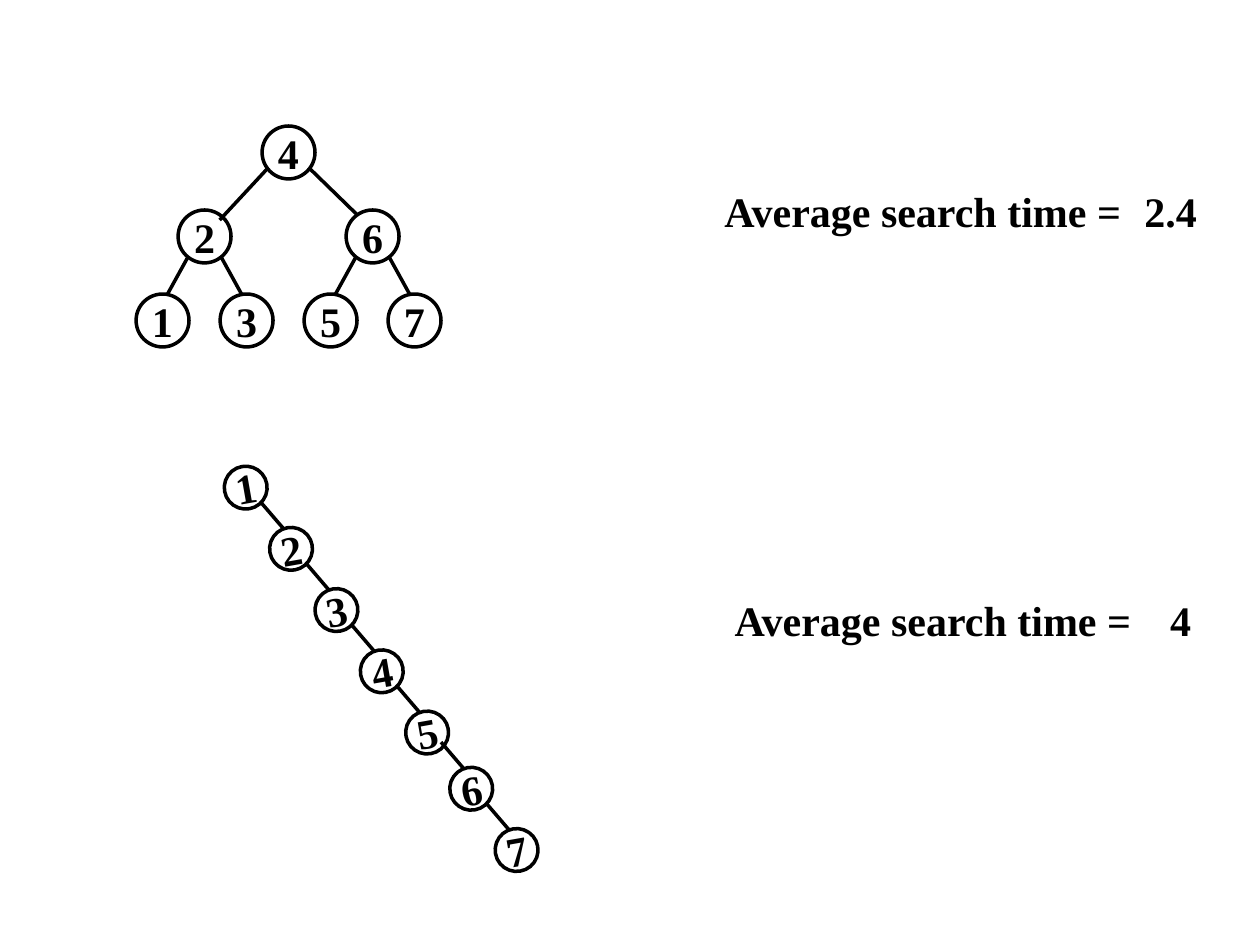
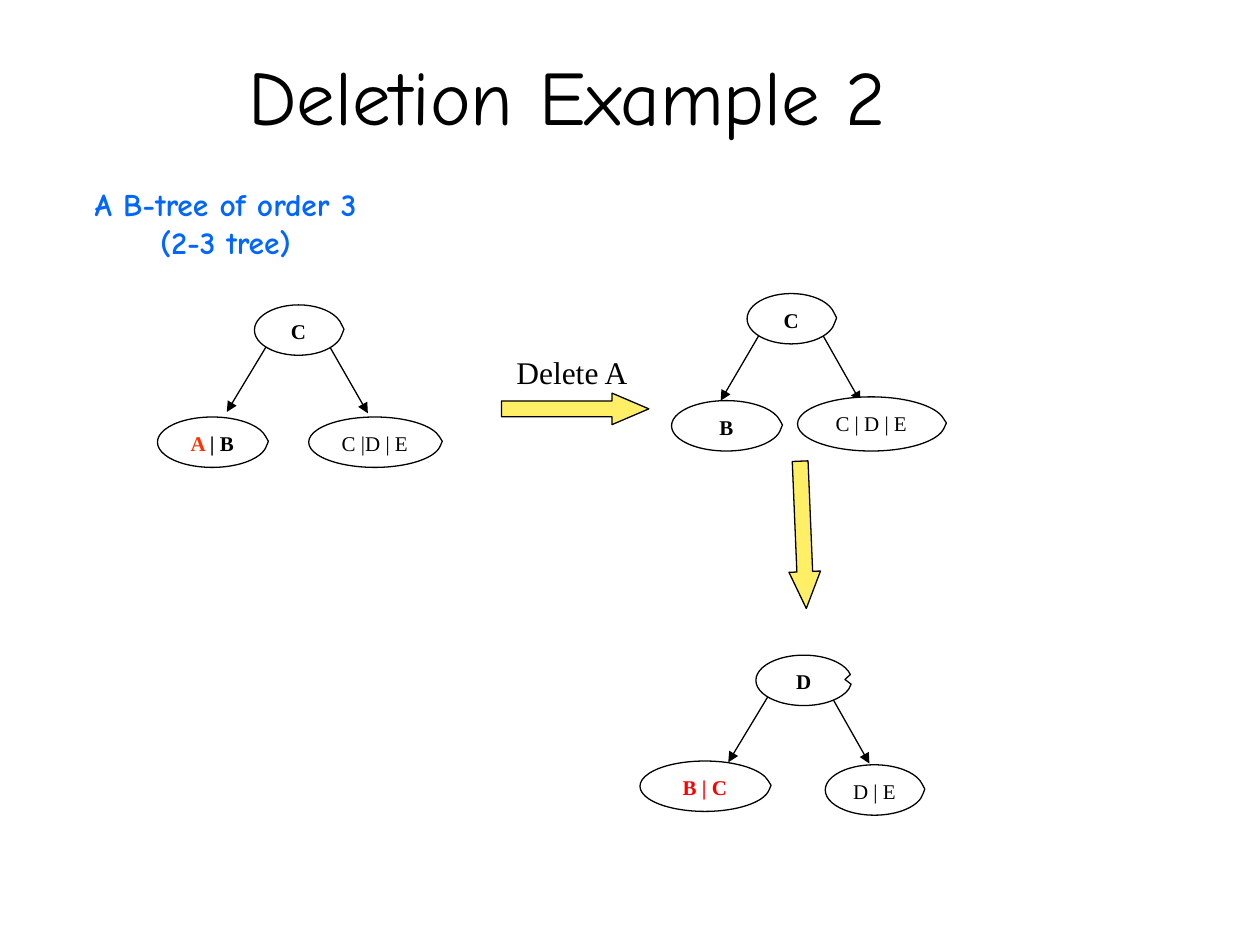
from pptx import Presentation
from pptx.dml.color import RGBColor
from pptx.enum import shapes, text
from pptx.oxml.ns import qn
from pptx.util import Inches, Pt
from lxml import etree

SERIF, COMIC = "Times New Roman", "Comic Neue"
BLACK, WHITE, RED, ORANGE = "000000", "FFFFFF", "FF0000", "FF3300"
BLUE, YELLOW = "0066FF", "FFEF66"
MID, TOP = text.MSO_ANCHOR.MIDDLE, text.MSO_ANCHOR.TOP
LEFT, MIDST = text.PP_ALIGN.LEFT, text.PP_ALIGN.CENTER
KIND = shapes.MSO_SHAPE

# Slide 1: label box, value box, value
TIMES = [
    ((5.75, 1.42, 3.2, 0.5), (9, 1.42, 0.58, 0.5), "2.4"),
    ((5.83, 4.67, 3.2, 0.5), (9.08, 4.67, 0.58, 0.5), "4"),
]
LEVELS = [[4], [2, 6], [1, 3, 5, 7]]
# parent, child, offsets of the edge's ends from their centres
EDGES = [
    (4, 2, (-0.16, 0.12), (0.12, -0.13)),
    (4, 6, (0.16, 0.12), (-0.12, -0.17)),
]
for top in LEVELS[1]:
    for side in (-1, 1):
        EDGES.append((top, top + side, (side * 0.13, 0.16), (side * -0.04, -0.21)))
CHAIN = range(1, 8)

# Slide 2: node is (box, tip, runs); run is (words, colour, bold)
TREES = [
    {"nodes": [
        ((2.02, 2.42, 0.7, 0.4), 0.515, [("C", BLACK, True)]),
        ((2.45, 3.31, 1.05, 0.4), 0.51, [("C |D | E", BLACK, False)]),
        ((1.25, 3.31, 0.87, 0.4), 0.512, [("A ", ORANGE, True), ("| B", BLACK, True)])],
     "arrows": [((2.12, 2.74), (1.8, 3.27)), ((2.61, 2.74), (2.92, 3.28))]},
    {"nodes": [
        ((5.08, 6.04, 1.03, 0.4), 0.51, [("B | C", RED, True)]),
        ((6, 5.2, 0.76, 0.4), 0.43, [("D", BLACK, True)]),
        ((6.55, 6.07, 0.78, 0.4), 0.513, [("D | E", BLACK, False)])],
     "arrows": [((6.1, 5.52), (5.78, 6.05)), ((6.6, 5.53), (6.9, 6.06))]},
    {"nodes": [
        ((5.93, 2.33, 0.7, 0.4), 0.515, [("C", BLACK, True)]),
        ((6.33, 3.15, 1.17, 0.43), 0.51, [("C | D | E", BLACK, False)]),
        ((5.33, 3.18, 0.87, 0.4), 0.512, [("B", BLACK, True)])],
     "arrows": [((6.03, 2.65), (5.72, 3.18)), ((6.53, 2.66), (6.83, 3.19))]},
]
STEPS = [((3.98, 3.12, 1.17, 0.25), 0), ((5.79, 4.12, 1.17, 0.25), 87.6)]


def rgb(code):
    return RGBColor.from_string(code)


def place(box):
    return [Inches(v) for v in box]


def write(shape, paras, size, font=SERIF, align=MIDST, anchor=TOP,
          pad=(0.1, 0.05), wrap=False):
    """Fill a shape with paragraphs, each a list of (words, colour, bold)."""
    frame = shape.text_frame
    frame.word_wrap, frame.vertical_anchor = wrap, anchor
    frame.margin_left = frame.margin_right = Inches(pad[0])
    frame.margin_top = frame.margin_bottom = Inches(pad[1])
    for i, runs in enumerate(paras):
        para = frame.add_paragraph() if i else frame.paragraphs[0]
        para.alignment = align
        for words, color, bold in runs:
            run = para.add_run()
            run.text = words
            run.font.size, run.font.name, run.font.bold = Pt(size), font, bold
            run.font.color.rgb = rgb(color)


def label(slide, box, paras, size, **style):
    write(slide.shapes.add_textbox(*place(box)), paras, size, **style)


def draw(slide, kind, box, fill=None, width=0.75, turn=0, adjust=()):
    shape = slide.shapes.add_shape(kind, *place(box))
    shape.shadow.inherit = False
    shape.rotation = turn
    if fill:
        shape.fill.solid()
        shape.fill.fore_color.rgb = rgb(fill)
    else:
        shape.fill.background()
    shape.line.color.rgb, shape.line.width = rgb(BLACK), Pt(width)
    for i, value in enumerate(adjust):
        shape.adjustments[i] = value
    return shape


def join(slide, start, end, width=0.75, head=False):
    line = slide.shapes.add_connector(
        shapes.MSO_CONNECTOR.STRAIGHT, *place((*start, *end)))
    line.line.color.rgb, line.line.width = rgb(BLACK), Pt(width)
    if head:
        etree.SubElement(line.line._get_or_add_ln(), qn("a:tailEnd"), type="triangle")
    etree.SubElement(line._element.spPr, qn("a:effectLst"))


def shift(point, move):
    return point[0] + move[0], point[1] + move[1]


def ring(slide, center, size, key, turn=0):
    box = (center[0] - size / 2, center[1] - size / 2, size, size)
    shape = draw(slide, KIND.OVAL, box, width=2, turn=turn)
    write(shape, [[(str(key), BLACK, True)]], 24, anchor=MID)


def search(deck):
    slide = deck.slides.add_slide(deck.slide_layouts[6])
    for box, spot, value in TIMES:
        label(slide, box, [[("Average search time =", BLACK, True)]], 24,
              align=LEFT, pad=(0, 0.05), wrap=True)
        label(slide, spot, [[(value, BLACK, True)]], 24, anchor=MID, pad=(0, 0.05))

    spots = {key: (1.29 + (key - 1) / 3, 1.21 + row * 2 / 3)
             for row, keys in enumerate(LEVELS) for key in keys}
    for key, center in spots.items():
        ring(slide, center, 0.42, key)
    for top, child, out, into in EDGES:
        join(slide, shift(spots[top], out), shift(spots[child], into), 2)

    for i, key in enumerate(CHAIN):
        center = (1.95 + 0.36 * i, 3.87 + 0.486 * i)
        if key > 5:  # the last two sit slightly closer
            center = shift(center, (-0.01, -0.04))
        ring(slide, center, 0.34, key, turn=350)
        if i:
            join(slide, shift(center, (-0.24, -0.37)), shift(center, (-0.06, -0.16)), 2)


def delete(deck):
    slide = deck.slides.add_slide(deck.slide_layouts[5])
    title = slide.shapes.title
    title.left, title.top, title.width, title.height = place((0.75, 0.17, 7.51, 1.17))
    write(title, [[("Deletion Example 2", BLACK, False)]], 44, COMIC,
          anchor=MID, wrap=True)
    label(slide, (0, 1.42, 3.58, 0.7),
          [[("A B-tree of order 3", BLUE, True)], [("(2-3 tree)", BLUE, True)]],
          18, font=COMIC, wrap=True)
    for tree in TREES:
        for start, end in tree["arrows"]:
            join(slide, start, end, head=True)
        for box, tip, runs in tree["nodes"]:
            node = draw(slide, KIND.OVAL_CALLOUT, box, WHITE, adjust=(tip, -0.017))
            write(node, [runs], 12)
    for box, turn in STEPS:
        draw(slide, KIND.RIGHT_ARROW, box, YELLOW, turn=turn, adjust=(0.5, 1.167))
    label(slide, (4, 2.75, 1.09, 0.4), [[("Delete A", BLACK, False)]], 18, align=LEFT)


def main():
    deck = Presentation()
    deck.slide_width, deck.slide_height = Inches(10), Inches(7.5)
    search(deck)
    delete(deck)
    deck.save("out.pptx")


if __name__ == "__main__":
    main()
